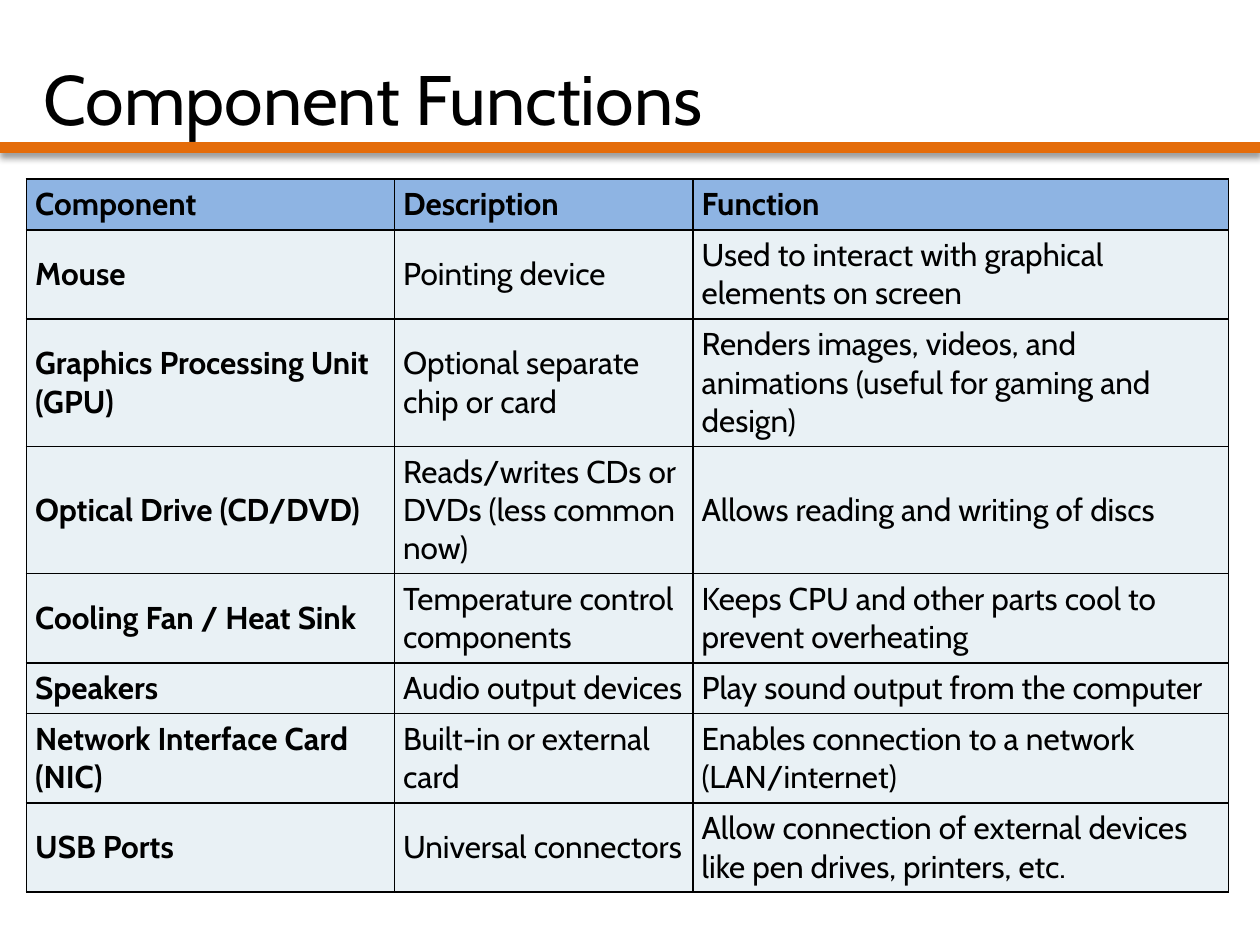
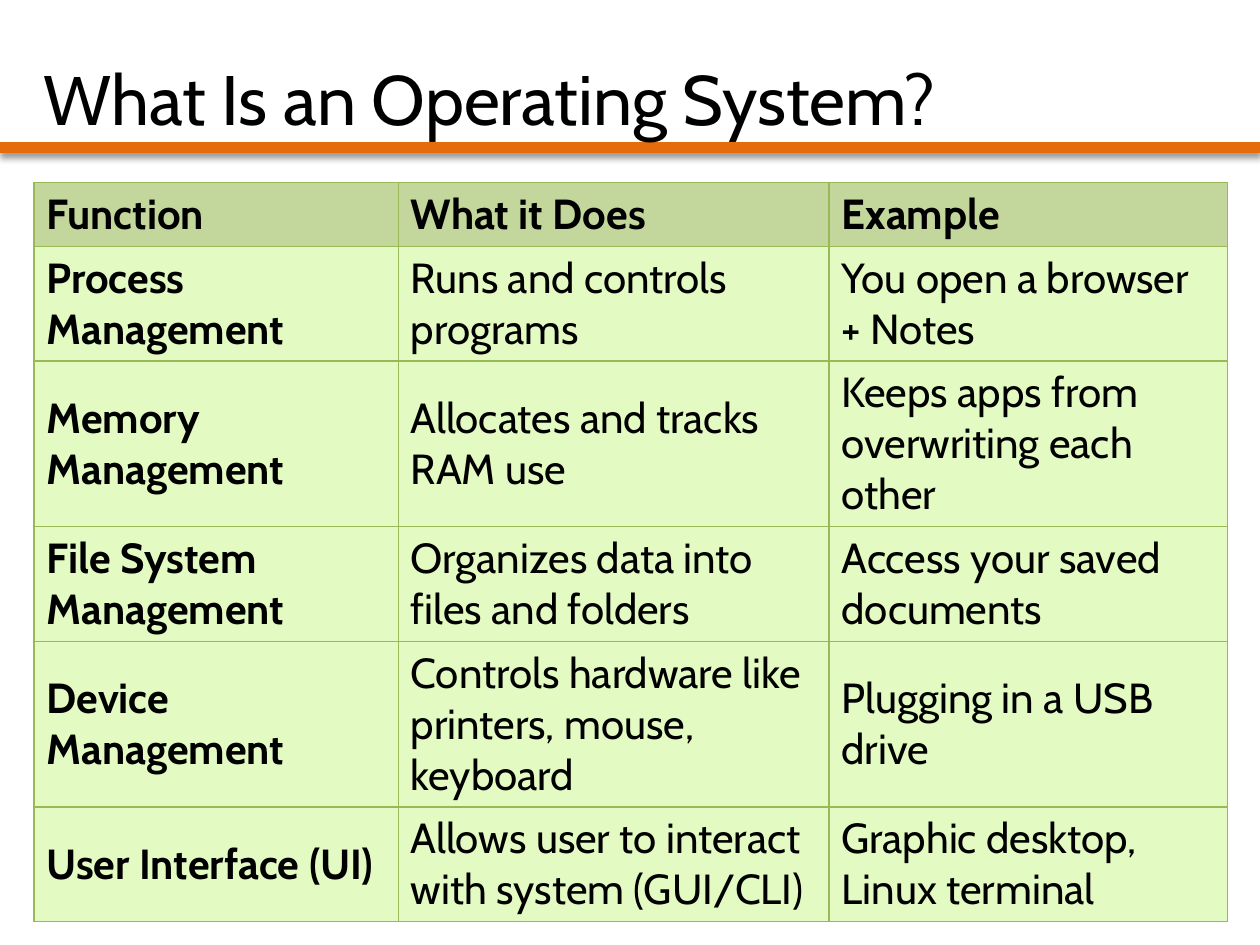
"""Build two slides of component and operating system tables."""
from dataclasses import dataclass

from lxml import etree
from pptx import Presentation
from pptx import util as u
from pptx.dml.color import RGBColor
from pptx.enum import shapes, text
from pptx.oxml import ns

COLOURS = {
    "ink": "000000",
    "rule": "E46C0A",
    "blue_head": "8EB4E3",
    "blue_body": "E9F1F5",
    "green_head": "C3D69B",
    "green_body": "E3FBC2",
    "green_line": "98B955",
}
FONT = "Cabin"
LINE_SPACING = 1.215


@dataclass(frozen=True)
class TableStyle:
    """Look of one table."""
    size: int
    head: str
    body: str
    border: str
    border_points: float
    left_margin: float
    right_margin: float


@dataclass(frozen=True)
class TableSlide:
    """Title, table place, column widths, text lines per row and cell text."""
    title: str
    left: float
    top: float
    widths: tuple[float, ...]
    lines: tuple[int, ...]
    rows: tuple[tuple[str, ...], ...]
    style: TableStyle


PAGES = (
    TableSlide(
        "Component Functions", 0.21, 1.42, (2.92, 2.37, 4.25), (1, 2, 3, 3, 2, 1, 2, 2),
        (
            ("Component", "Description", "Function"),
            ("Mouse", "Pointing device",
             "Used to interact with graphical elements on screen"),
            ("Graphics Processing Unit (GPU)", "Optional separate chip or card",
             "Renders images, videos, and animations (useful for gaming and design)"),
            ("Optical Drive (CD/DVD)", "Reads/writes CDs or DVDs (less common now)",
             "Allows reading and writing of discs"),
            ("Cooling Fan / Heat Sink", "Temperature control components",
             "Keeps CPU and other parts cool to prevent overheating"),
            ("Speakers", "Audio output devices", "Play sound output from the computer"),
            ("Network Interface Card (NIC)", "Built-in or external card",
             "Enables connection to a network (LAN/internet)"),
            ("USB Ports", "Universal connectors",
             "Allow connection of external devices like pen drives, printers, etc."),
        ),
        TableStyle(18, "blue_head", "blue_body", "ink", 1, 0.07, 0.02),
    ),
    TableSlide(
        "What Is an Operating System?", 0.27, 1.45, (2.89, 3.42, 3.16), (1, 2, 3, 2, 3, 2),
        (
            ("Function", "What it Does", "Example"),
            ("Process Management", "Runs and controls programs",
             "You open a browser + Notes"),
            ("Memory Management", "Allocates and tracks RAM use",
             "Keeps apps from overwriting each other"),
            ("File System Management", "Organizes data into files and folders",
             "Access your saved documents"),
            ("Device Management", "Controls hardware like printers, mouse, keyboard",
             "Plugging in a USB drive"),
            ("User Interface (UI)", "Allows user to interact with system (GUI/CLI)",
             "Graphic desktop, Linux terminal"),
        ),
        TableStyle(24, "green_head", "green_body", "green_line", 0.75, 0.1, 0.1),
    ),
)


def colour(name: str) -> RGBColor:
    """Look up a named colour."""
    return RGBColor.from_string(COLOURS[name])


def add_element(parent, tag: str, **attributes):
    """Append a DrawingML element."""
    return etree.SubElement(parent, ns.qn(f"a:{tag}"), attributes)


def write(frame, words: str, *, size: int, bold: bool = False) -> None:
    """Write one left-aligned paragraph in a text frame."""
    frame.word_wrap = True
    para = frame.paragraphs[0]
    para.alignment = text.PP_ALIGN.LEFT
    span = para.add_run()
    span.text = words
    span.font.name = FONT
    span.font.size = u.Pt(size)
    span.font.bold = bold
    span.font.color.rgb = colour("ink")


def add_title(page, words: str) -> None:
    """Draw the shadowed rule and the title above it."""
    rule = page.shapes.add_connector(
        shapes.MSO_CONNECTOR.STRAIGHT,
        u.Inches(0), u.Inches(1.17), u.Inches(10), u.Inches(1.17))
    rule.line.color.rgb = colour("rule")
    rule.line.width = u.Pt(6)
    effects = add_element(rule._element.spPr, "effectLst")
    shadow = add_element(effects, "outerShdw", blurRad=str(u.Pt(4)), dist=str(u.Pt(3)),
                         dir="5400000", rotWithShape="0")
    shade = add_element(shadow, "srgbClr", val=COLOURS["ink"])
    add_element(shade, "alpha", val="40000")

    box = page.shapes.add_textbox(u.Inches(0.25), u.Inches(0.3), u.Inches(8.5), u.Inches(0.95))
    box.text_frame.vertical_anchor = text.MSO_ANCHOR.MIDDLE
    write(box.text_frame, words, size=40)


def add_borders(cell, style: TableStyle) -> None:
    """Outline a cell on all four sides."""
    properties = cell._tc.get_or_add_tcPr()
    for position, side in enumerate(("lnL", "lnR", "lnT", "lnB")):
        line = add_element(properties, side, w=str(u.Pt(style.border_points)))
        fill = add_element(line, "solidFill")
        add_element(fill, "srgbClr", val=COLOURS[style.border])
        properties.insert(position, line)


def add_table(page, content: TableSlide) -> None:
    """Draw the table with row heights that follow the text lines."""
    style = content.style
    heights = [0.1 + count * style.size * LINE_SPACING / 72 for count in content.lines]
    table = page.shapes.add_table(
        len(content.rows), len(content.widths), u.Inches(content.left), u.Inches(content.top),
        u.Inches(sum(content.widths)), u.Inches(sum(heights))).table
    table.horz_banding = False
    for column, width in zip(table.columns, content.widths):
        column.width = u.Inches(width)
    for row_index, (row, height) in enumerate(zip(table.rows, heights)):
        row.height = u.Inches(height)
        for column_index, cell in enumerate(row.cells):
            cell.vertical_anchor = text.MSO_ANCHOR.MIDDLE
            cell.margin_left = u.Inches(style.left_margin)
            cell.margin_right = u.Inches(style.right_margin)
            cell.margin_top = cell.margin_bottom = u.Inches(0.05)
            cell.fill.solid()
            cell.fill.fore_color.rgb = colour(style.body if row_index else style.head)
            add_borders(cell, style)
            write(cell.text_frame, content.rows[row_index][column_index], size=style.size,
                  bold=row_index == 0 or column_index == 0)


def main() -> None:
    """Build and save the deck."""
    deck = Presentation()
    deck.slide_width, deck.slide_height = u.Inches(10), u.Inches(7.5)
    for content in PAGES:
        page = deck.slides.add_slide(deck.slide_layouts[6])
        add_title(page, content.title)
        add_table(page, content)
    deck.save("out.pptx")


if __name__ == "__main__":
    main()
